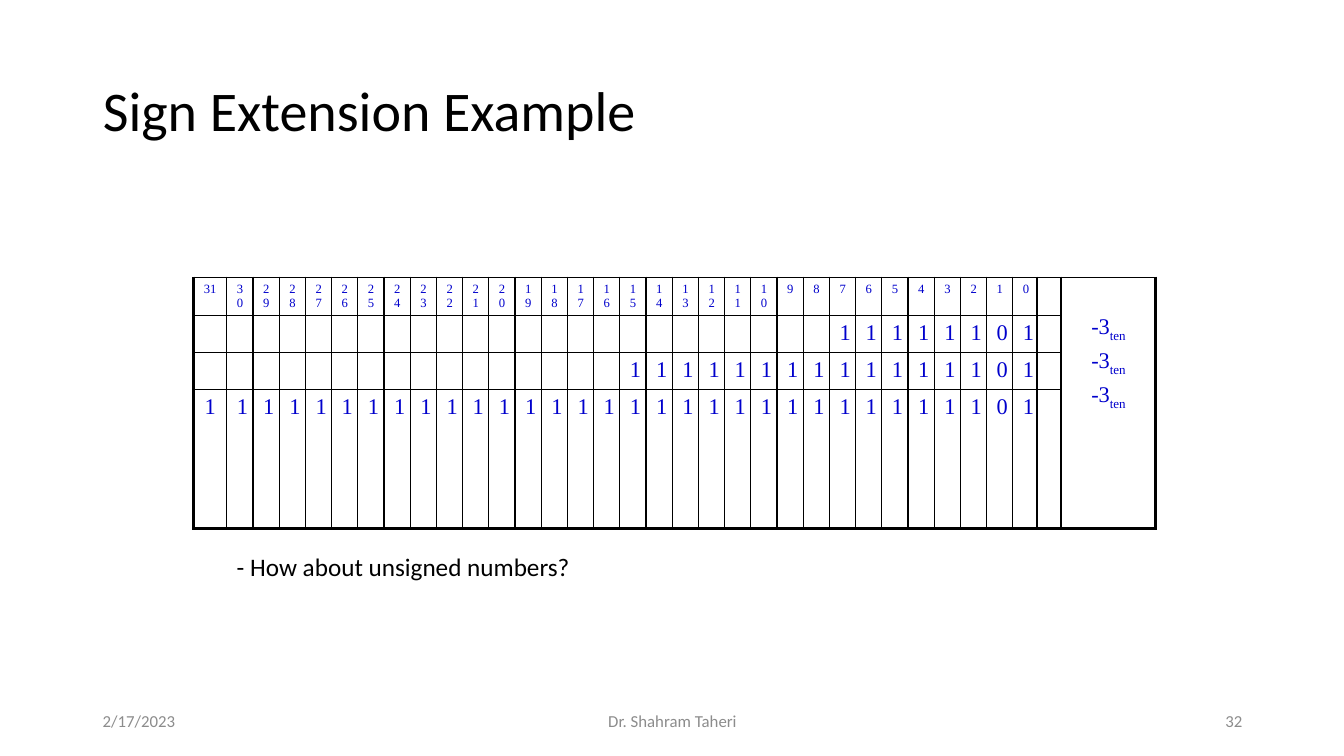
from dataclasses import dataclass

from lxml import etree
from pptx import Presentation
from pptx import util as u
from pptx.dml.color import RGBColor
from pptx.enum import text
from pptx.oxml import ns

WIDTH, HEIGHT = 13.33, 7.5
ALIGN = text.PP_ALIGN


@dataclass(frozen=True)
class Theme:
    sans: str = "Calibri"
    serif: str = "Times New Roman"
    ink: str = "000000"
    muted: str = "8C8C8C"
    bits: str = "0000CC"
    title_size: int = 40
    note_size: int = 18
    bit_size: int = 16
    footer_size: int = 12
    index_size: int = 9
    thin: float = 1
    thick: float = 2.25


THEME = Theme()
BIT_COUNT = 32
NUMBERS = ["11111101", "1" * 14 + "01", "1" * 30 + "01"]
COLUMNS = [0.33] + [0.26] * 30 + [0.23, 0.23, 0.94]
ROW_HEIGHT = 0.37


def style(paragraph, font_name, size, color, align=ALIGN.LEFT):
    paragraph.alignment = align
    paragraph.font.name = font_name
    paragraph.font.size = u.Pt(size)
    paragraph.font.color.rgb = RGBColor.from_string(color)


def add_text(slide, box, wording, size, color, align=ALIGN.LEFT,
             anchor=text.MSO_ANCHOR.TOP):
    shape = slide.shapes.add_textbox(*map(u.Inches, box))
    frame = shape.text_frame
    frame.word_wrap = True
    frame.vertical_anchor = anchor
    paragraph = frame.paragraphs[0]
    paragraph.text = wording
    style(paragraph, THEME.sans, size, color, align)
    return paragraph


def fill_title(slide, box):
    title = slide.shapes.title
    title.left, title.top, title.width, title.height = map(u.Inches, box)
    title.text_frame.vertical_anchor = text.MSO_ANCHOR.MIDDLE
    paragraph = title.text_frame.paragraphs[0]
    paragraph.text = "Sign Extension Example"
    paragraph.line_spacing = 0.9
    style(paragraph, THEME.sans, THEME.title_size, THEME.ink)


def set_borders(cell, widths):
    """Draw the left, right, top and bottom edges of a cell."""
    properties = cell._tc.get_or_add_tcPr()
    for side, width in zip("LRTB", widths):
        line = etree.SubElement(properties, ns.qn(f"a:ln{side}"), w=str(u.Pt(width)))
        fill = etree.SubElement(line, ns.qn("a:solidFill"))
        etree.SubElement(fill, ns.qn("a:srgbClr"), val=THEME.ink)


def fill_values(cell):
    """Write the decimal value of each number, with its base as subscript."""
    cell.margin_top = u.Inches(0.37)
    frame = cell.text_frame
    for index in range(len(NUMBERS)):
        paragraph = frame.add_paragraph() if index else frame.paragraphs[0]
        paragraph.add_run().text = "-3"
        base = paragraph.add_run()
        base.text = "ten"
        base._r.get_or_add_rPr().set("baseline", "-25000")
        paragraph.space_before = u.Pt(4)
        style(paragraph, THEME.serif, THEME.bit_size, THEME.bits, ALIGN.CENTER)


def add_bit_table(slide, left, top):
    rows = [[str(bit) for bit in reversed(range(BIT_COUNT))]]
    rows += [list(number.rjust(BIT_COUNT)) for number in NUMBERS]
    last_row, last_column = len(rows) - 1, len(COLUMNS) - 1
    box = (left, top, sum(COLUMNS), ROW_HEIGHT * len(rows))
    table = slide.shapes.add_table(len(rows), len(COLUMNS), *map(u.Inches, box)).table
    table.first_row = table.horz_banding = False
    for column, width in zip(table.columns, COLUMNS):
        column.width = u.Inches(width)

    # Bit positions in the first row, one number in each row below
    for r, labels in enumerate(rows):
        table.rows[r].height = u.Inches(ROW_HEIGHT)
        for c in range(len(COLUMNS)):
            cell = table.cell(r, c)
            set_borders(cell, (
                THEME.thin if c else THEME.thick,
                THEME.thick if c == last_column else THEME.thin,
                THEME.thin,
                THEME.thick if r == last_row or c == last_column else THEME.thin))
            cell.fill.background()
            paragraph = cell.text_frame.paragraphs[0]
            if c < BIT_COUNT:
                paragraph.text = labels[c].strip()
            size = THEME.bit_size if r else THEME.index_size
            paragraph.space_before = u.Pt(0.2 * size)
            style(paragraph, THEME.serif, size, THEME.bits, ALIGN.CENTER)

    # Values beside the numbers
    table.cell(0, last_column).merge(table.cell(last_row, last_column))
    fill_values(table.cell(0, last_column))


def add_footer(slide, left, top, width, height):
    side, middle = 3, 4.5
    parts = [
        ("2/17/2023", left, side, ALIGN.LEFT),
        ("Dr. Shahram Taheri", left + (width - middle) / 2, middle, ALIGN.CENTER),
        ("32", left + width - side, side, ALIGN.RIGHT),
    ]
    for wording, x, part_width, align in parts:
        add_text(slide, (x, top, part_width, height), wording, THEME.footer_size,
                 THEME.muted, align, text.MSO_ANCHOR.MIDDLE)


def main():
    presentation = Presentation()
    presentation.slide_width = u.Inches(WIDTH)
    presentation.slide_height = u.Inches(HEIGHT)
    slide = presentation.slides.add_slide(presentation.slide_layouts[5])
    margin = 0.92
    content_width = 11.5

    fill_title(slide, (margin, 0.4, content_width, 1.45))
    add_bit_table(slide, 1.92, 2.75)
    question = add_text(slide, (2.25, 5.42, 8.33, 0.4),
                        "- How about unsigned numbers?", THEME.note_size, THEME.ink)
    question.space_before = u.Pt(THEME.note_size / 2)
    add_footer(slide, margin, 6.95, content_width, 0.4)
    presentation.save("out.pptx")


if __name__ == "__main__":
    main()
